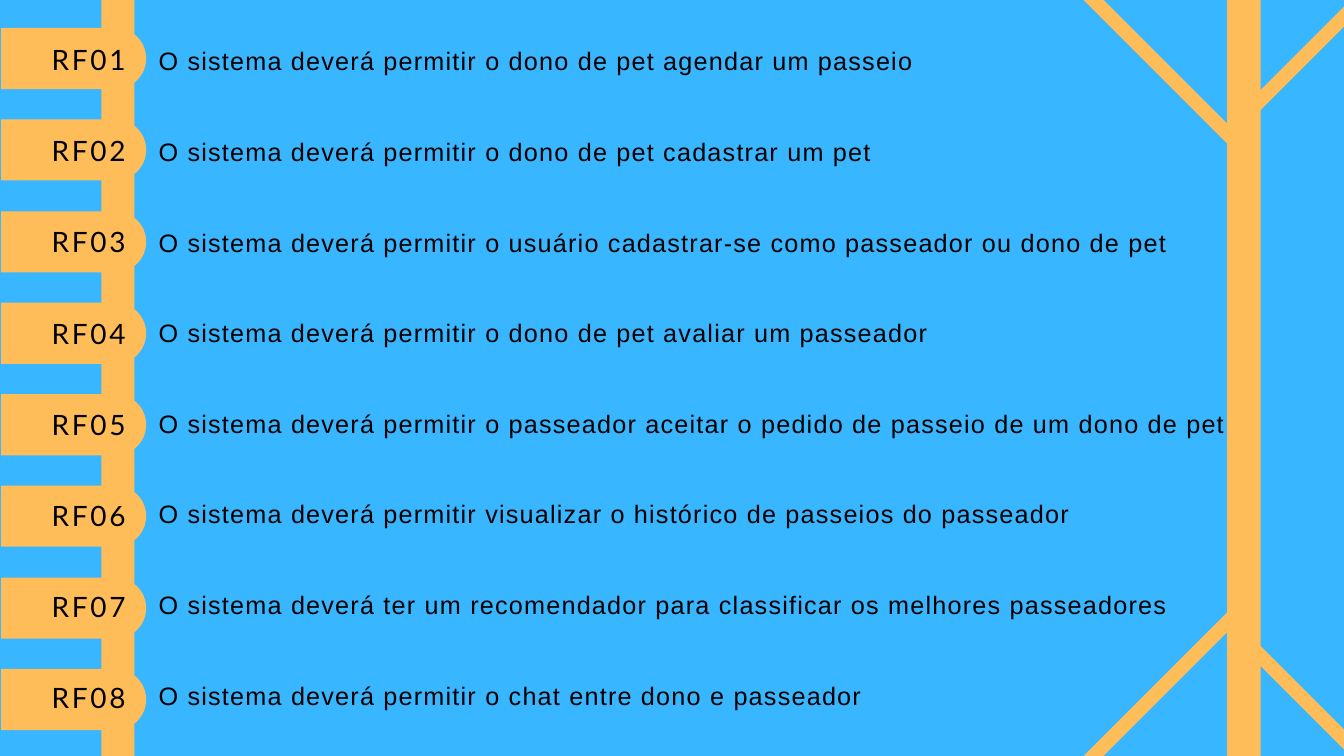
from dataclasses import dataclass

from pptx import Presentation
from pptx.dml.color import RGBColor
from pptx.enum.shapes import MSO_SHAPE as Preset
from pptx.enum.text import MSO_AUTO_SIZE as AutoSize, PP_ALIGN as Align
from pptx.shapes.autoshape import Shape
from pptx.slide import Slide
from pptx.util import Emu, Pt

EMU_PER_PX = 9144  # 100 px to the inch
SLIDE_WIDTH, SLIDE_HEIGHT = 2000, 1125


@dataclass(frozen=True)
class TextStyle:
    font: str
    size: float
    line_spacing: float
    tracking: int  # hundredths of a point
    align: Align


@dataclass(frozen=True)
class Theme:
    background: RGBColor = RGBColor(0x38, 0xB6, 0xFF)
    accent: RGBColor = RGBColor(0xFF, 0xBD, 0x59)
    text: RGBColor = RGBColor(0, 0, 0)
    label: TextStyle = TextStyle("Lato", 30, 42, 300, Align.CENTER)
    body: TextStyle = TextStyle("Arial", 27, 33.7, 130, Align.LEFT)


@dataclass(frozen=True)
class Box:
    left: int
    top: int
    width: int
    height: int

    def emu(self) -> list[Emu]:
        return [px(n) for n in (self.left, self.top, self.width, self.height)]


@dataclass(frozen=True)
class Requirement:
    text: str
    width: int
    height: int = 50


THEME = Theme()

REQUIREMENTS = [
    Requirement("O sistema deverá permitir o dono de pet agendar um passeio", 1420),
    Requirement("O sistema deverá permitir o dono de pet cadastrar um pet", 1420),
    Requirement("O sistema deverá permitir o usuário cadastrar-se como passeador ou dono de pet", 1528, 100),
    Requirement("O sistema deverá permitir o dono de pet avaliar um passeador", 1420),
    Requirement("O sistema deverá permitir o passeador aceitar o pedido de passeio de um dono de pet", 1589, 100),
    Requirement("O sistema deverá permitir visualizar o histórico de passeios do passeador", 1488),
    Requirement("O sistema deverá ter um recomendador para classificar os melhores passeadores", 1528, 100),
    Requirement("O sistema deverá permitir o chat entre dono e passeador", 1488),
]

LEFT_BAR = Box(151, 0, 49, SLIDE_HEIGHT)
TRUNK = Box(1826, -14, 50, SLIDE_HEIGHT + 14)
BRANCH_SIZE, BRANCH_THICKNESS = 674, 21
BRANCH_LEFT, BRANCH_TOPS = 1489, (-600, 1051)
TAG_LEFT, TAG_LENGTH, TAG_HEIGHT = 2, 216, 91
TAG_TOP, TAG_PITCH = 41, 136.3
LABEL_TOP, LABEL_PITCH = 55, 135.7
BODY_TOP, BODY_PITCH = 66, 134.9


def px(length: int) -> Emu:
    return Emu(length * EMU_PER_PX)


def row_top(first: int, pitch: float, row: int) -> int:
    return round(first + pitch * row)


def add_accent(slide: Slide, preset: Preset, box: Box, rotation: int = 0) -> Shape:
    shape = slide.shapes.add_shape(preset, *box.emu())
    shape.rotation = rotation
    shape.shadow.inherit = False
    shape.fill.solid()
    shape.fill.fore_color.rgb = THEME.accent
    shape.line.fill.background()
    return shape


def add_branches(slide: Slide, top: int) -> None:
    """Draw a square frame on its corner, so its sides run out of the trunk."""
    box = Box(BRANCH_LEFT, top, BRANCH_SIZE, BRANCH_SIZE)
    frame = add_accent(slide, Preset.FRAME, box, rotation=45)
    frame.adjustments[0] = BRANCH_THICKNESS / BRANCH_SIZE


def add_tag(slide: Slide, top: int) -> None:
    """Draw an upright round-topped shape, turned so the round end faces right."""
    shift = (TAG_LENGTH - TAG_HEIGHT) // 2
    box = Box(TAG_LEFT + shift, top - shift, TAG_HEIGHT, TAG_LENGTH)
    tag = add_accent(slide, Preset.ROUND_2_SAME_RECTANGLE, box, rotation=90)
    tag.adjustments[0] = 0.5
    tag.adjustments[1] = 0


def add_text(slide: Slide, box: Box, text: str, style: TextStyle) -> None:
    frame = slide.shapes.add_textbox(*box.emu()).text_frame
    frame.margin_left = frame.margin_right = frame.margin_top = frame.margin_bottom = 0
    frame.word_wrap = True
    frame.auto_size = AutoSize.SHAPE_TO_FIT_TEXT
    paragraph = frame.paragraphs[0]
    paragraph.alignment = style.align
    paragraph.line_spacing = Pt(style.line_spacing)
    run = paragraph.add_run()
    run.text = text
    run.font.name = style.font
    run.font.size = Pt(style.size)
    run.font.color.rgb = THEME.text
    run.font._element.set("spc", str(style.tracking))


def add_requirement(slide: Slide, row: int, requirement: Requirement) -> None:
    add_tag(slide, row_top(TAG_TOP, TAG_PITCH, row))
    label_box = Box(62, row_top(LABEL_TOP, LABEL_PITCH, row), 140, 57)
    add_text(slide, label_box, f"RF{row + 1:02}", THEME.label)
    body_top = row_top(BODY_TOP, BODY_PITCH, row)
    body_box = Box(236, body_top, requirement.width, requirement.height)
    add_text(slide, body_box, requirement.text, THEME.body)


def main() -> None:
    presentation = Presentation()
    presentation.slide_width = px(SLIDE_WIDTH)
    presentation.slide_height = px(SLIDE_HEIGHT)
    slide = presentation.slides.add_slide(presentation.slide_layouts[6])
    slide.background.fill.solid()
    slide.background.fill.fore_color.rgb = THEME.background

    for bar in (LEFT_BAR, TRUNK):
        add_accent(slide, Preset.RECTANGLE, bar)
    for top in BRANCH_TOPS:
        add_branches(slide, top)
    for row, requirement in enumerate(REQUIREMENTS):
        add_requirement(slide, row, requirement)

    presentation.save("out.pptx")


if __name__ == "__main__":
    main()
